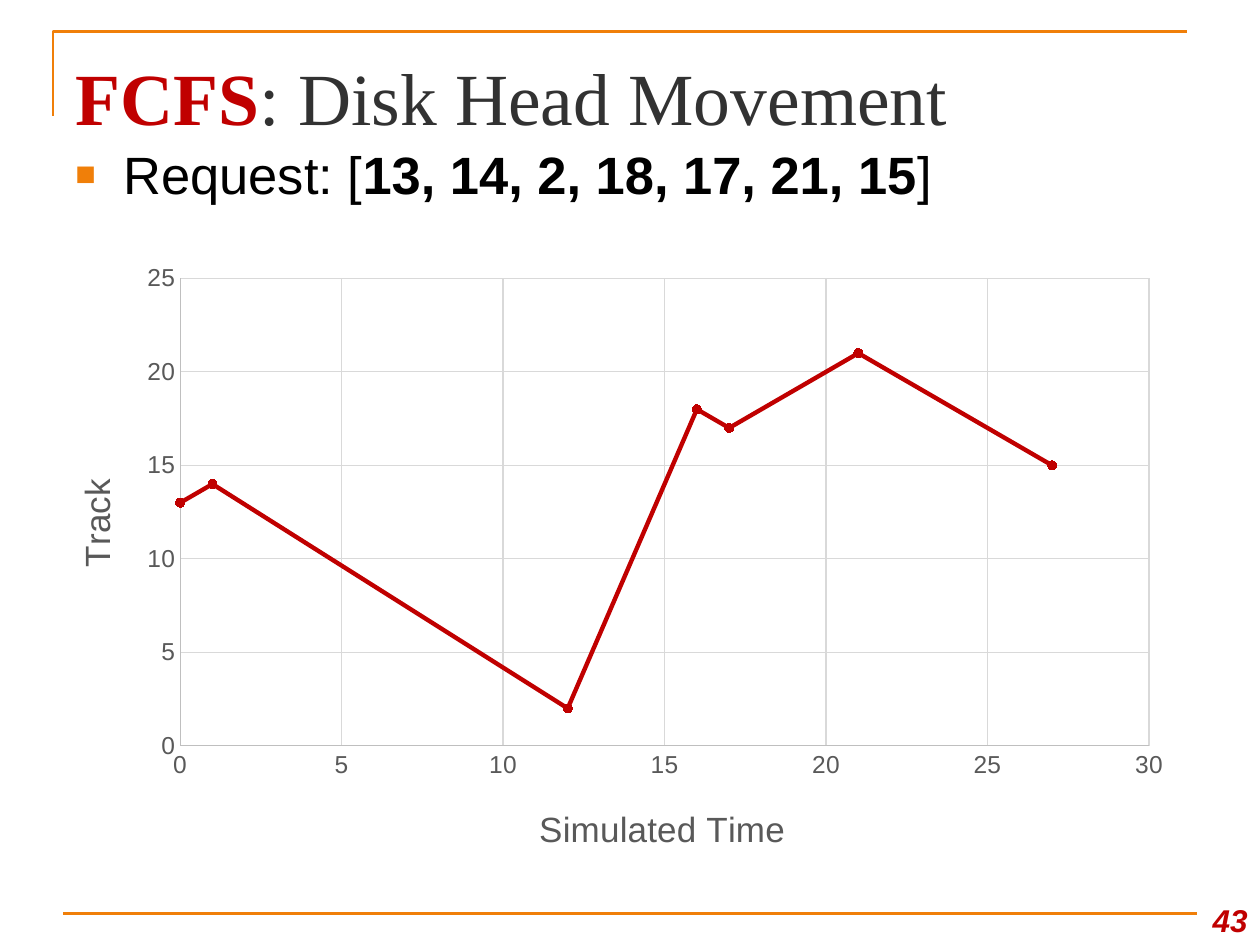
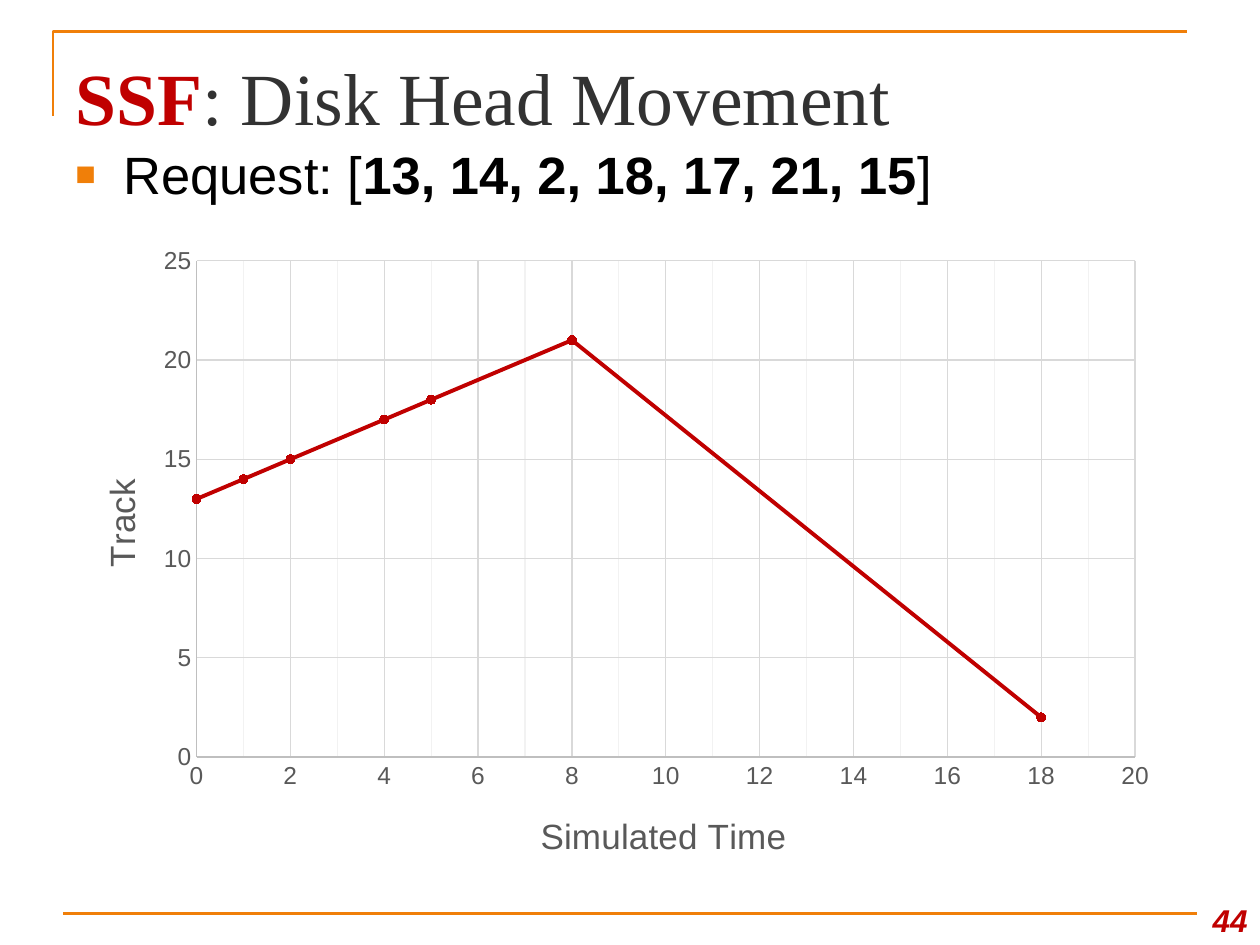
from dataclasses import dataclass

from lxml import etree
from pptx import Presentation
from pptx.chart.data import XyChartData
from pptx.dml.color import RGBColor
from pptx.enum.chart import XL_CHART_TYPE, XL_MARKER_STYLE, XL_TICK_MARK
from pptx.enum.shapes import MSO_CONNECTOR
from pptx.enum.text import MSO_ANCHOR, MSO_AUTO_SIZE, PP_ALIGN
from pptx.oxml.ns import qn
from pptx.util import Inches, Pt

SCATTER = XL_CHART_TYPE.XY_SCATTER_LINES
CIRCLE = XL_MARKER_STYLE.CIRCLE
NO_TICK = XL_TICK_MARK.NONE
STRAIGHT = MSO_CONNECTOR.STRAIGHT
TOP, BOTTOM = MSO_ANCHOR.TOP, MSO_ANCHOR.BOTTOM
NO_AUTOFIT = MSO_AUTO_SIZE.NONE
LEFT, RIGHT = PP_ALIGN.LEFT, PP_ALIGN.RIGHT


@dataclass(frozen=True)
class Theme:
    accent: str = "F07F09"
    red: str = "C00000"
    title: str = "323232"
    text: str = "000000"
    label: str = "595959"
    axis: str = "BFBFBF"
    grid: str = "D9D9D9"
    minor_grid: str = "F2F2F2"
    serif: str = "Times New Roman"
    sans: str = "Arial"
    title_size: int = 42
    body_size: int = 30
    axis_title_size: int = 20
    page_size: int = 18
    tick_size: int = 14
    rule_width: float = 1.5
    grid_width: float = 0.75


T = Theme()


def add_text(p, text, font=T.sans, size=T.body_size, color=T.text, bold=False, italic=False):
    r = p.add_run()
    r.text = text
    r.font.name, r.font.size = font, Pt(size)
    r.font.bold, r.font.italic = bold, italic
    r.font.color.rgb = RGBColor.from_string(color)


def set_layout(parent, index, frame, box, **modes):
    """Place a chart part; box and frame are slide inches (left, top, width, height)."""
    for old in parent.findall(qn("c:layout")):
        parent.remove(old)
    layout = etree.Element(qn("c:layout"))
    manual = etree.SubElement(layout, qn("c:manualLayout"))
    left, top, width, height = frame
    values = [(box[0] - left) / width, (box[1] - top) / height]
    if len(box) == 4:
        values += [box[2] / width, box[3] / height]
    for tag, value in [*modes.items(), *zip("xywh", values)]:
        etree.SubElement(manual, qn(f"c:{tag}")).set("val", str(value))
    parent.insert(index, layout)


SLIDES = [
    dict(
        name="FCFS", page=43, times=[0, 1, 12, 16, 17, 21, 27],
        tracks=[13, 14, 2, 18, 17, 21, 15], time_max=30, time_step=5, minor_step=None,
        frame=(0.33, 2, 9.08, 4.92), plot=(1.43, 2.21, 7.69, 3.71),
        time_title=(4.23, 6.35), track_title=(0.54, 3.75), line_width=2.5,
    ),
    dict(
        name="SSF", page=44, times=[0, 1, 2, 4, 5, 8, 18],
        tracks=[13, 14, 15, 17, 18, 21, 2], time_max=20, time_step=2, minor_step=1,
        frame=(0.47, 1.86, 8.83, 5.08), plot=(1.56, 2.07, 7.45, 3.94),
        time_title=(4.24, 6.41), track_title=(0.74, 3.75), line_width=2.25,
    ),
]

prs = Presentation()
prs.slide_width, prs.slide_height = Inches(10), Inches(7.5)

for d in SLIDES:
    s = prs.slides.add_slide(prs.slide_layouts[5])

    # Corner rule and footer rule
    fb = s.shapes.build_freeform(Inches(0.42), Inches(0.92))
    fb.add_line_segments(
        [(Inches(0.42), Inches(0.25)), (Inches(9.42), Inches(0.25))], close=False
    )
    corner = fb.convert_to_shape()
    corner.shadow.inherit = False
    corner.fill.background()
    footer = s.shapes.add_connector(
        STRAIGHT, Inches(0.5), Inches(7.25), Inches(9.5), Inches(7.25)
    )
    for rule in (corner, footer):
        rule.line.color.rgb = RGBColor.from_string(T.accent)
        rule.line.width = Pt(T.rule_width)
    etree.SubElement(footer.element.spPr, qn("a:effectLst"))

    # Title
    sp = s.shapes.title
    sp.left, sp.top, sp.width, sp.height = map(Inches, (0.5, 0.3, 9, 0.78))
    tf = sp.text_frame
    tf.auto_size, tf.vertical_anchor, tf.word_wrap = NO_AUTOFIT, TOP, True
    tf.margin_top, tf.margin_bottom = Inches(0.11), 0
    p = tf.paragraphs[0]
    p.alignment = LEFT
    add_text(p, d["name"], font=T.serif, size=T.title_size, color=T.red, bold=True)
    add_text(p, ": Disk Head Movement", font=T.serif, size=T.title_size, color=T.title)

    # Bulleted request queue
    tf = s.shapes.add_textbox(*map(Inches, (0.5, 1.08, 9, 0.58))).text_frame
    tf.word_wrap = True
    p = tf.paragraphs[0]
    p.space_before = Pt(3.6)
    add_text(p, "Request: [")
    add_text(p, "13, 14, 2, 18, 17, 21, 15", bold=True)
    add_text(p, "]")
    pPr = p._p.get_or_add_pPr()
    pPr.set("marL", str(Inches(0.38)))
    pPr.set("indent", str(-Inches(0.38)))
    bullet_color = etree.SubElement(pPr, qn("a:buClr"))
    etree.SubElement(bullet_color, qn("a:srgbClr")).set("val", T.accent)
    etree.SubElement(pPr, qn("a:buSzPct")).set("val", "65000")
    etree.SubElement(pPr, qn("a:buFont")).set("typeface", T.sans)
    etree.SubElement(pPr, qn("a:buChar")).set("char", "■")

    # Page number
    tf = s.shapes.add_textbox(*map(Inches, (9.42, 7, 0.58, 0.5))).text_frame
    tf.word_wrap, tf.vertical_anchor = True, BOTTOM
    p = tf.paragraphs[0]
    p.alignment = RIGHT
    add_text(p, str(d["page"]), size=T.page_size, color=T.red, bold=True, italic=True)

    # Head movement chart
    data = XyChartData()
    points = data.add_series("Series 1")
    for time, track in zip(d["times"], d["tracks"]):
        points.add_data_point(time, track)
    chart = s.shapes.add_chart(SCATTER, *map(Inches, d["frame"]), data).chart
    chart.has_title = chart.has_legend = False
    chart.font.name, chart.font.size = T.sans, Pt(T.tick_size)
    chart.font.color.rgb = RGBColor.from_string(T.label)
    plot = chart.plots[0]
    plot.vary_by_categories = False
    series = plot.series[0]
    series.smooth = False
    series.format.line.width = Pt(d["line_width"])
    series.format.line.color.rgb = RGBColor.from_string(T.red)
    marker = series.marker
    marker.style, marker.size = CIRCLE, 5
    marker.format.fill.solid()
    marker.format.fill.fore_color.rgb = RGBColor.from_string(T.red)
    marker.format.line.color.rgb = RGBColor.from_string(T.red)

    # Axes
    time_axis, track_axis = chart.category_axis, chart.value_axis
    for axis, label, top_value, step in (
        (time_axis, "Simulated Time", d["time_max"], d["time_step"]),
        (track_axis, "Track", 25, 5),
    ):
        axis.minimum_scale, axis.maximum_scale, axis.major_unit = 0, top_value, step
        axis.major_tick_mark = axis.minor_tick_mark = NO_TICK
        axis.has_major_gridlines = True
        axis.tick_labels.font.size = Pt(T.tick_size)
        for line, color in (
            (axis.format.line, T.axis),
            (axis.major_gridlines.format.line, T.grid),
        ):
            line.color.rgb = RGBColor.from_string(color)
            line.width = Pt(T.grid_width)
        p = axis.axis_title.text_frame.paragraphs[0]
        add_text(p, label, size=T.axis_title_size, color=T.label)

    # Minor gridlines
    if d["minor_step"]:
        time_axis.minor_unit = d["minor_step"]
        time_axis.has_minor_gridlines = True
        minor = chart.element.xpath(".//c:minorGridlines")[0]
        ln = etree.SubElement(etree.SubElement(minor, qn("c:spPr")), qn("a:ln"))
        ln.set("w", str(Pt(T.grid_width)))
        fill = etree.SubElement(ln, qn("a:solidFill"))
        etree.SubElement(fill, qn("a:srgbClr")).set("val", T.minor_grid)

    # Positions of the plot and the axis titles
    plot_area = chart.element.xpath(".//c:plotArea")[0]
    set_layout(plot_area, 0, d["frame"], d["plot"],
               layoutTarget="inner", xMode="edge", yMode="edge")
    titles = chart.element.xpath(".//c:valAx/c:title")
    for title, spot in zip(titles, (d["time_title"], d["track_title"])):
        set_layout(title, 1, d["frame"], spot, xMode="edge", yMode="edge")
    body = titles[1].xpath(".//a:bodyPr")[0]
    body.set("rot", "-5400000")
    body.set("vert", "horz")

prs.save("out.pptx")
